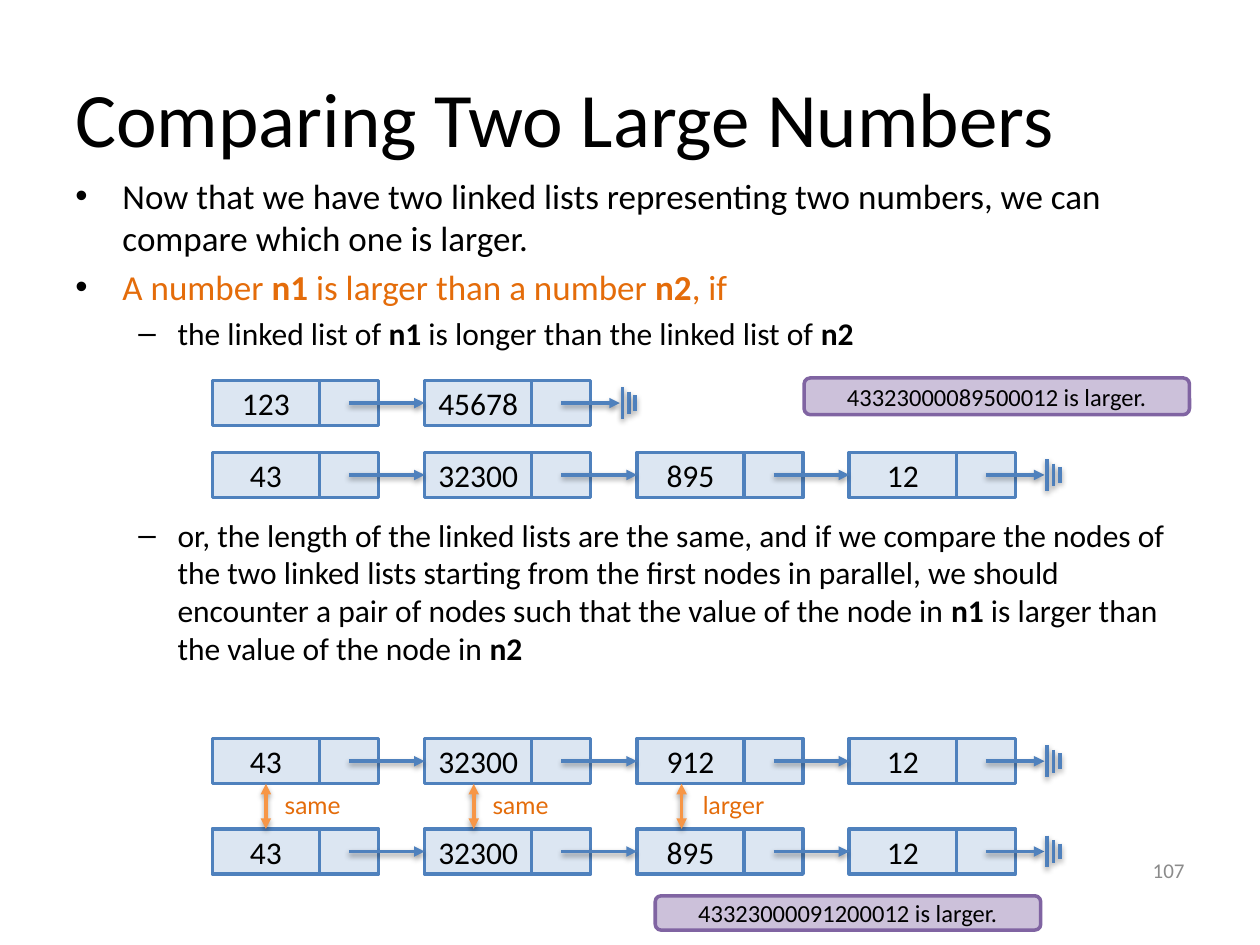
import lxml.etree
import pptx
import pptx.dml.color
import pptx.enum.shapes
import pptx.enum.text
import pptx.oxml.ns
import pptx.util

Cm, Pt = pptx.util.Cm, pptx.util.Pt
SHAPE = pptx.enum.shapes.MSO_SHAPE
ALIGN = pptx.enum.text.PP_ALIGN
ANCHOR = pptx.enum.text.MSO_ANCHOR

COLORS = {
    "text": "000000", "accent": "E46C0A", "muted": "8B8B8B",
    "node_fill": "DCE6F2", "node_line": "4F81BD",
    "result_fill": "CCC1DA", "result_line": "8064A2", "compare": "F79646",
}
VALUE_WIDTH, POINTER_WIDTH, NODE_HEIGHT, NODE_PITCH = 2.16, 1.19, 0.91, 4.28
LISTS_LEFT = 4.28
COMPARE_PITCH = 4.19


def rgb(name):
    return pptx.dml.color.RGBColor.from_string(COLORS[name])


def add_xml(parent, tag, **attributes):
    return lxml.etree.SubElement(parent, pptx.oxml.ns.qn(tag), attributes)


def set_values(target, values):
    for name, value in values.items():
        setattr(target, name, value)


def add_run(paragraph, text, size, color="text", **font_values):
    run = paragraph.add_run()
    run.text = text
    set_values(run.font, {"name": "Calibri", "size": Pt(size), **font_values})
    run.font.color.rgb = rgb(color)


def add_text(slide, box, text, size, color="text", align=ALIGN.LEFT,
             anchor=ANCHOR.MIDDLE, wrap=True, **font_values):
    shape = slide.shapes.add_textbox(*map(Cm, box))
    set_values(shape.text_frame, {"word_wrap": wrap, "vertical_anchor": anchor})
    paragraph = shape.text_frame.paragraphs[0]
    paragraph.alignment = align
    add_run(paragraph, text, size, color, **font_values)


def add_box(slide, box, kind, style, text="", size=18):
    """Add a filled shape with centred text; style is node or result."""
    shape = slide.shapes.add_shape(kind, *map(Cm, box))
    shape.shadow.inherit = False
    shape.fill.solid()
    shape.fill.fore_color.rgb = rgb(style + "_fill")
    shape.line.color.rgb = rgb(style + "_line")
    shape.line.width = Pt(2)
    if text:
        set_values(shape.text_frame,
                   {"word_wrap": True, "vertical_anchor": ANCHOR.MIDDLE})
        paragraph = shape.text_frame.paragraphs[0]
        paragraph.alignment = ALIGN.CENTER
        add_run(paragraph, text, size)
    return shape


def add_line(slide, start, end, color="node_line", arrows=()):
    """Add a line with a soft shadow; arrows lists a:headEnd and a:tailEnd."""
    line = slide.shapes.add_connector(
        pptx.enum.shapes.MSO_CONNECTOR.STRAIGHT, *map(Cm, (*start, *end)))
    line.line.color.rgb = rgb(color)
    line.line.width = Pt(2)
    properties = line._element.spPr
    outline = properties.find(pptx.oxml.ns.qn("a:ln"))
    for arrow in arrows:
        add_xml(outline, arrow, type="triangle")
    shadow = add_xml(add_xml(properties, "a:effectLst"), "a:outerShdw",
                     blurRad="40000", dist="20000", dir="5400000", rotWithShape="0")
    add_xml(add_xml(shadow, "a:srgbClr", val="000000"), "a:alpha", val="38000")
    return line


def add_bullets(slide, box, bullets):
    """Each bullet is (level, space before, colour, parts); odd parts are bold."""
    frame = slide.shapes.add_textbox(*map(Cm, box)).text_frame
    frame.word_wrap = True
    levels = [("•", 20, 0.95, -0.95), ("–", 18, 2.06, -0.79)]
    for index, (level, space, color, parts) in enumerate(bullets):
        paragraph = frame.add_paragraph() if index else frame.paragraphs[0]
        mark, size, margin, indent = levels[level]
        set_values(paragraph, {"level": level, "space_before": Pt(space)})
        properties = paragraph._p.get_or_add_pPr()
        properties.set("marL", str(int(Cm(margin))))
        properties.set("indent", str(int(Cm(indent))))
        add_xml(add_xml(properties, "a:buClr"), "a:srgbClr", val=COLORS["text"])
        add_xml(properties, "a:buFont", typeface="Arial")
        add_xml(properties, "a:buChar", char=mark)
        for part_index, part in enumerate(parts):
            add_run(paragraph, part, size, color, bold=part_index % 2 == 1)


def add_ground(slide, left, middle):
    """Add the three shrinking bars that end a list."""
    for index, half in enumerate((0.32, 0.23, 0.16)):
        x = left + 0.13 * index
        add_line(slide, (x, middle - half), (x, middle + half))


def add_linked_list(slide, left, top, values):
    """Add a row of linked nodes and return the value boxes."""
    middle = top + NODE_HEIGHT / 2
    boxes = []
    for index, value in enumerate(values):
        x = left + NODE_PITCH * index
        boxes.append(add_box(slide, (x, top, VALUE_WIDTH, NODE_HEIGHT),
                             SHAPE.RECTANGLE, "node", value))
        add_box(slide, (x + VALUE_WIDTH, top, POINTER_WIDTH, NODE_HEIGHT),
                SHAPE.RECTANGLE, "node")
    for index in range(len(values)):
        x = left + NODE_PITCH * index + VALUE_WIDTH + POINTER_WIDTH / 2
        last = index == len(values) - 1
        length = 1.18 if last else NODE_PITCH - VALUE_WIDTH - POINTER_WIDTH / 2
        link = add_line(slide, (x, middle), (x + length, middle),
                        arrows=["a:tailEnd"])
        if last:
            add_ground(slide, x + length + 0.05, middle)
        else:
            link.end_connect(boxes[index + 1], 1)
    return boxes


def add_comparisons(slide, left, top, height, labels):
    """Add labelled double arrows and return the arrows."""
    arrows = []
    for index, (label, gap, width) in enumerate(labels):
        x = left + COMPARE_PITCH * index
        arrows.append(add_line(slide, (x, top), (x, top + height), "compare",
                               ["a:headEnd", "a:tailEnd"]))
        add_text(slide, (x + gap, top, width, 0.84), label, 14, "accent",
                 anchor=ANCHOR.TOP, wrap=False, name="Lato")
    return arrows


def add_result(slide, box, text):
    add_box(slide, box, SHAPE.ROUNDED_RECTANGLE, "result", text, 14)


def build_slide(slide):
    add_text(slide, (1.27, 0.76, 22.86, 3.18), "Comparing Two Large Numbers", 44)
    add_bullets(slide, (1.27, 3.4, 22.86, 13), [
        (0, 4, "text", ["Now that we have two linked lists representing two numbers, "
                        "we can compare which one is larger."]),
        (0, 4, "accent", ["A number ", "n1", " is larger than a number ", "n2", ", if"]),
        (1, 3.6, "text", ["the linked list of ", "n1",
                          " is longer than the linked list of ", "n2"]),
        (1, 93.5, "text", [
            "or, the length of the linked lists are the same, and if we compare the "
            "nodes of the two linked lists starting from the first nodes in parallel, "
            "we should encounter a pair of nodes such that the value of the node in ",
            "n1", " is larger than the value of the node in ", "n2"]),
    ])
    add_text(slide, (18.21, 17.04, 5.92, 1.02), "107", 12, "muted", ALIGN.RIGHT)

    rows = [
        (7.67, ["123", "45678"]),
        (9.12, ["43", "32300", "895", "12"]),
        (14.89, ["43", "32300", "912", "12"]),
        (16.71, ["43", "32300", "895", "12"]),
    ]
    boxes = [add_linked_list(slide, LISTS_LEFT, top, values) for top, values in rows]
    arrows = add_comparisons(
        slide, LISTS_LEFT + VALUE_WIDTH / 2, rows[2][0] + NODE_HEIGHT,
        rows[3][0] - rows[2][0] - NODE_HEIGHT,
        [("same", 0.13, 1.85), ("same", 0.13, 1.85), ("larger", 0.18, 1.96)])
    arrows[0].begin_connect(boxes[2][0], 2)
    arrows[0].end_connect(boxes[3][0], 0)

    add_result(slide, (16.21, 7.62, 7.77, 0.74), "43323000089500012 is larger.")
    add_result(slide, (13.21, 18.06, 7.77, 0.69), "43323000091200012 is larger.")


def main():
    presentation = pptx.Presentation()
    presentation.slide_width, presentation.slide_height = Cm(25.4), Cm(19.05)
    build_slide(presentation.slides.add_slide(presentation.slide_layouts[6]))
    presentation.save("out.pptx")


if __name__ == "__main__":
    main()
